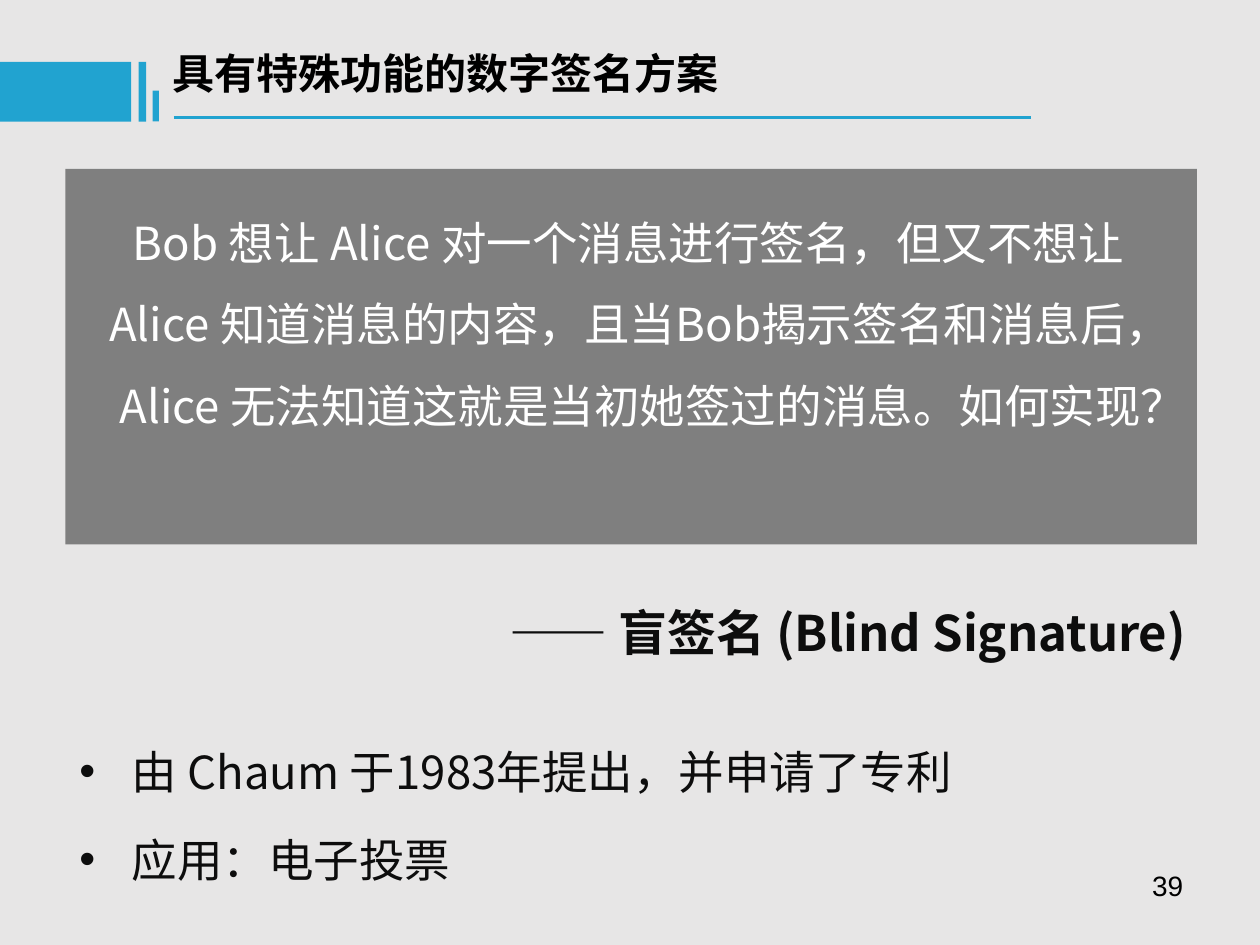
from lxml.etree import SubElement
from pptx import Presentation
from pptx.dml.color import RGBColor
from pptx.enum.shapes import MSO_CONNECTOR, MSO_SHAPE
from pptx.enum.text import MSO_ANCHOR, MSO_AUTO_SIZE, PP_ALIGN
from pptx.oxml.ns import qn
from pptx.util import Pt

COLORS = {
    "background": "E7E6E6",
    "accent": "21A3D0",
    "panel": "7F7F7F",
    "title": "000000",
    "body": "0D0D0D",
    "quote": "FFFFFF",
}
CJK_FONT = "Noto Sans CJK SC"


def color(name):
    return RGBColor.from_string(COLORS[name])


def add_run(paragraph, text, size, color_name, bold=False, font=CJK_FONT):
    run = paragraph.add_run()
    run.text = text
    run.font.size = Pt(size)
    run.font.bold = bold
    run.font.color.rgb = color(color_name)
    run.font.name = font
    SubElement(run.font._element, qn("a:ea"), typeface=font)


def set_up_frame(frame, inset_x=7.2, inset_y=3.6):
    frame.word_wrap = True
    frame.auto_size = MSO_AUTO_SIZE.NONE
    frame.vertical_anchor = MSO_ANCHOR.TOP
    frame.margin_left = frame.margin_right = Pt(inset_x)
    frame.margin_top = frame.margin_bottom = Pt(inset_y)


def add_text_frame(slide, left, top, width, height, **insets):
    box = slide.shapes.add_textbox(Pt(left), Pt(top), Pt(width), Pt(height))
    set_up_frame(box.text_frame, **insets)
    return box.text_frame


def add_block(slide, left, top, width, height, color_name):
    block = slide.shapes.add_shape(
        MSO_SHAPE.RECTANGLE, Pt(left), Pt(top), Pt(width), Pt(height))
    block.shadow.inherit = False
    block.fill.solid()
    block.fill.fore_color.rgb = color(color_name)
    block.line.fill.background()


def add_header(slide, left, top, width, height):
    bars_top = top + 11.5
    bars_bottom = top + height
    for offset, bar_width, drop in [(0, 75, 0), (79.2, 4.3, 0), (87.2, 3.6, 16.5)]:
        bar_top = bars_top + drop
        add_block(slide, left + offset, bar_top, bar_width,
                  bars_bottom - bar_top, "accent")

    rule_y = Pt(bars_bottom - 2.5)
    rule = slide.shapes.add_connector(
        MSO_CONNECTOR.STRAIGHT, Pt(left + 99.4), rule_y, Pt(left + width), rule_y)
    rule.line.color.rgb = color("accent")
    rule.line.width = Pt(1.5)
    SubElement(rule._element.spPr, qn("a:effectLst"))

    title = slide.shapes.title
    title.left, title.top = Pt(left + 91.4), Pt(top)
    title.width, title.height = Pt(444), Pt(36)
    set_up_frame(title.text_frame)
    paragraph = title.text_frame.paragraphs[0]
    paragraph.alignment = PP_ALIGN.LEFT
    add_run(paragraph, "具有特殊功能的数字签名方案", 24, "title", bold=True)


def add_question_panel(slide, left, top, width, height):
    add_block(slide, left, top, width, height, "panel")
    frame = add_text_frame(slide, left + 18, top + 7, width - 36, height - 14)
    paragraph = frame.paragraphs[0]
    paragraph.line_spacing = 1.5
    paragraph._p.get_or_add_pPr().set("indent", str(Pt(13.5)))
    add_run(paragraph,
            "Bob 想让 Alice 对一个消息进行签名，但又不想让 Alice 知道消息的内容，"
            "且当Bob揭示签名和消息后， Alice 无法知道这就是当初她签过的消息。如何实现？",
            26, "quote")


def add_answer(slide, left, top, width, height):
    frame = add_text_frame(slide, left, top, width, height, inset_x=7.9, inset_y=4.3)
    paragraph = frame.paragraphs[0]
    paragraph.alignment = PP_ALIGN.RIGHT
    paragraph.line_spacing = 1.4
    add_run(paragraph, "—— 盲签名 (Blind Signature)", 28, "body", bold=True)


def add_facts(slide, left, top, width, height):
    frame = add_text_frame(slide, left, top, width, height, inset_x=7.9, inset_y=4.3)
    facts = ["由 Chaum 于1983年提出，并申请了专利", "应用：电子投票"]
    for index, fact in enumerate(facts):
        paragraph = frame.add_paragraph() if index else frame.paragraphs[0]
        paragraph.line_spacing = 1.4
        if index:
            paragraph.space_before = Pt(6.5)
        properties = paragraph._p.get_or_add_pPr()
        properties.set("marL", str(Pt(30)))
        properties.set("indent", str(Pt(-30)))
        bullet_color = SubElement(properties, qn("a:buClr"))
        SubElement(bullet_color, qn("a:srgbClr"), val=COLORS["body"])
        SubElement(properties, qn("a:buFont"), typeface="Arial")
        SubElement(properties, qn("a:buChar"), char="•")
        add_run(paragraph, fact, 26, "body")


def add_page_number(slide, left, top, width, height):
    frame = add_text_frame(slide, left, top, width, height, inset_x=7.9, inset_y=4.3)
    paragraph = frame.paragraphs[0]
    paragraph.alignment = PP_ALIGN.RIGHT
    add_run(paragraph, "39", 16, "title", font="Arial")


def main():
    deck = Presentation()
    deck.slide_width, deck.slide_height = Pt(720), Pt(540)
    slide = deck.slides.add_slide(deck.slide_layouts[5])
    slide.background.fill.solid()
    slide.background.fill.fore_color.rgb = color("background")

    add_header(slide, 0, 23.8, 589, 45.7)
    add_question_panel(slide, 37.4, 96.5, 646.6, 214.6)
    add_answer(slide, 203.8, 326.7, 481.7, 50)
    add_facts(slide, 37.4, 408.3, 602, 100)
    add_page_number(slide, 516.2, 491.8, 167.8, 37.4)
    deck.save("out.pptx")


if __name__ == "__main__":
    main()
